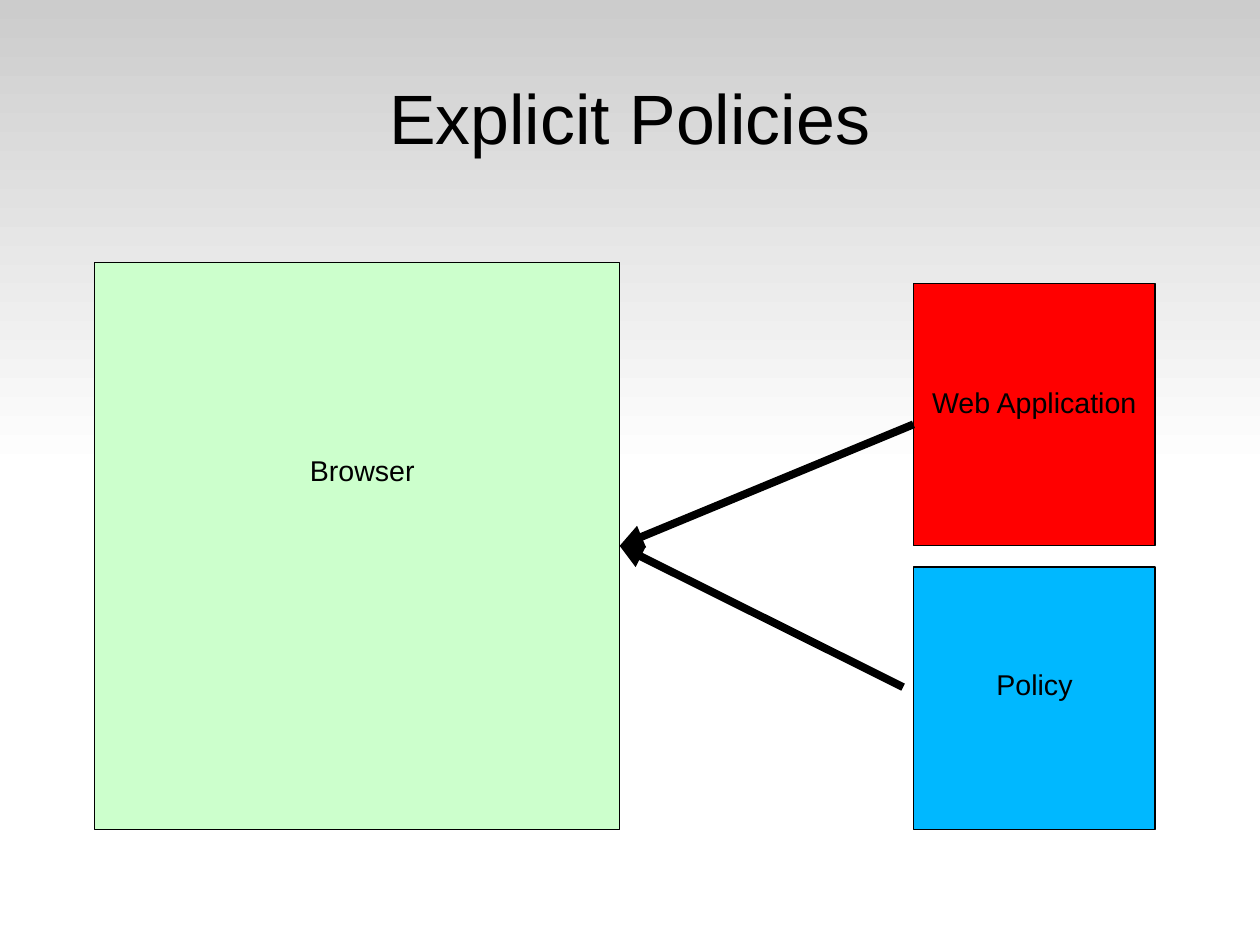
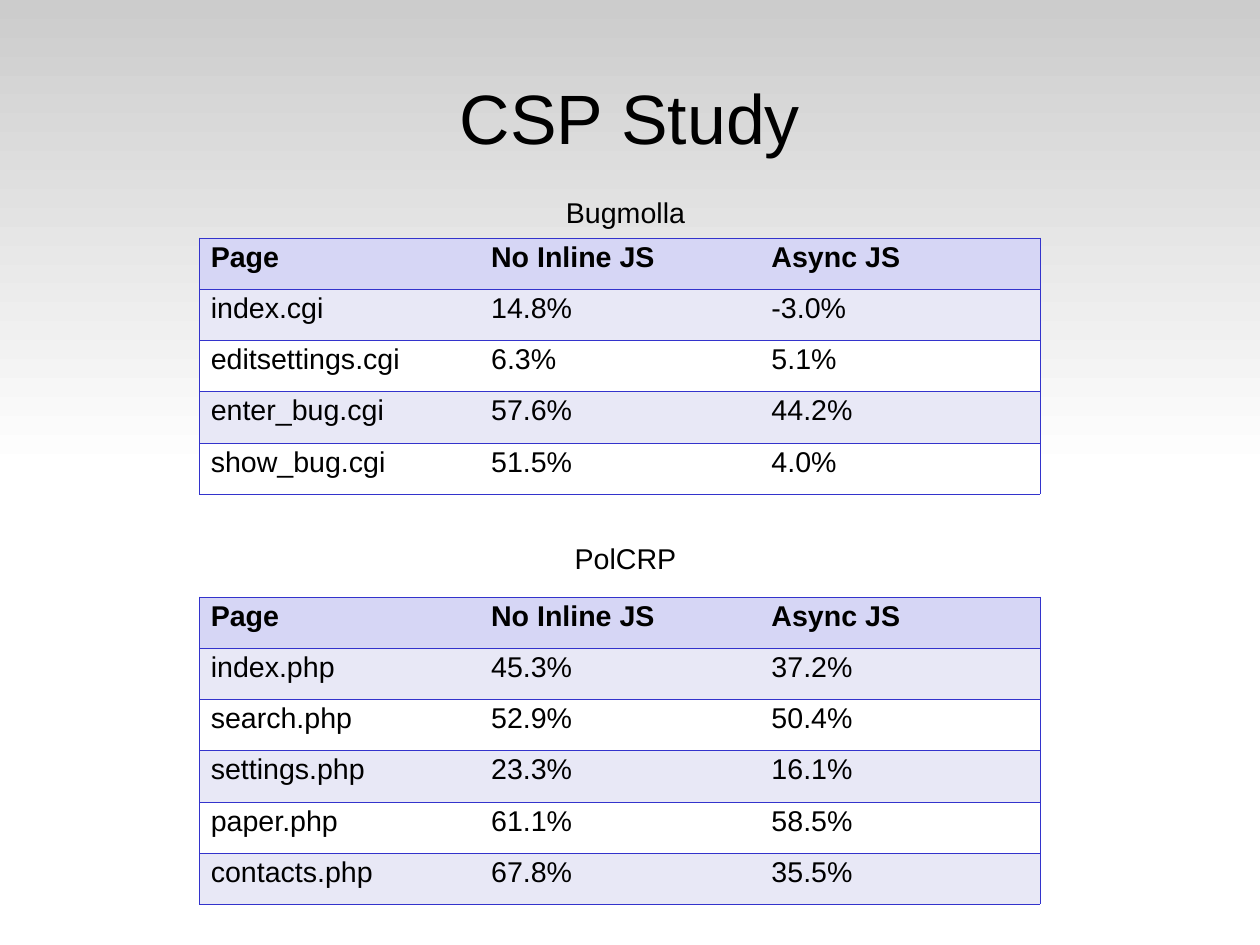
from lxml.etree import SubElement as Sub
from pptx import Presentation
from pptx.dml.color import RGBColor
from pptx.enum.shapes import MSO_CONNECTOR as Link, MSO_SHAPE as Kind
from pptx.enum.text import MSO_ANCHOR as Anchor, MSO_AUTO_SIZE as Fit, PP_ALIGN as Align
from pptx.oxml.ns import qn
from pptx.util import Cm, Pt

WIDE, HIGH = 28, 21


def tint(code):
    return RGBColor.from_string(code)


class Deck:
    font, ink, rule = "Arial", "000000", "3333CC"
    head, odd, even = "D6D6F5", "E8E8F6", "FFFFFF"

    def __init__(self):
        self.file = Presentation()
        self.file.slide_width, self.file.slide_height = Cm(WIDE), Cm(HIGH)
        self.slide = None

    def style(self, frame, size=18, bold=False, align=Align.CENTER):
        for para in frame.paragraphs:
            para.alignment = align
            for run in para.runs:
                run.font.name, run.font.size = self.font, Pt(size)
                run.font.bold = bold
                run.font.color.rgb = tint(self.ink)

    def page(self, text):
        self.slide = self.file.slides.add_slide(self.file.slide_layouts[5])
        title = self.slide.shapes.title
        title.left, title.top = Cm(1.4), Cm(0.38)
        title.width, title.height = Cm(25.2), Cm(4.4)
        frame = title.text_frame
        frame.text = text
        frame.auto_size, frame.vertical_anchor = Fit.NONE, Anchor.MIDDLE
        self.style(frame, 44)

    def shape(self, x, y, w, h):
        box = self.slide.shapes.add_shape(Kind.RECTANGLE, Cm(x), Cm(y), Cm(w), Cm(h))
        box.shadow.inherit = False
        return box

    def band(self):
        """Draw the grey fade and move it to the master, behind every slide."""
        band = self.shape(0, 0, WIDE, HIGH / 2)
        band.line.fill.background()
        band.fill.gradient()
        band.fill.gradient_angle = 270
        for stop, code, at in zip(band.fill.gradient_stops, ("CCCCCC", "FFFFFF"), (0, 1)):
            stop.color.rgb, stop.position = tint(code), at
        self.file.slide_master.shapes._spTree.insert(2, band._element)

    def box(self, x, y, w, h, code):
        box = self.shape(x, y, w, h)
        box.fill.solid()
        box.fill.fore_color.rgb = tint(code)
        box.line.color.rgb, box.line.width = tint(self.ink), Pt(0.75)

    def label(self, text, x, y, w):
        frame = self.slide.shapes.add_textbox(Cm(x), Cm(y), Cm(w), Cm(1.02)).text_frame
        frame.word_wrap = True
        frame.text = text
        self.style(frame)

    def arrow(self, start, end):
        line = self.slide.shapes.add_connector(Link.STRAIGHT, *map(Cm, start + end))
        line.line.color.rgb, line.line.width = tint(self.ink), Pt(5)
        Sub(line.line._get_or_add_ln(), qn("a:tailEnd"), type="triangle")
        Sub(line._element.spPr, qn("a:effectLst"))

    def edge(self, cell, side, shown):
        line = Sub(cell._tc.get_or_add_tcPr(), qn("a:ln" + side), w=str(Pt(0.11)))
        if shown:
            Sub(Sub(line, qn("a:solidFill")), qn("a:srgbClr"), val=self.rule)
        else:
            Sub(line, qn("a:noFill"))

    def table(self, x, y, wide, high, rows):
        count = len(rows[0])
        grid = self.slide.shapes.add_table(
            len(rows), count, Cm(x), Cm(y), Cm(wide * count), Cm(high * len(rows))).table
        grid.first_row = grid.horz_banding = False
        for col in grid.columns:
            col.width = Cm(wide)
        for r, row in enumerate(rows):
            grid.rows[r].height = Cm(high)
            code = self.head if r == 0 else self.odd if r % 2 else self.even
            for c, text in enumerate(row):
                cell = grid.cell(r, c)
                cell.text_frame.text = text
                self.style(cell.text_frame, bold=r == 0, align=Align.LEFT)
                cell.text_frame.paragraphs[0].line_spacing = 0.93
                # Rules between rows and around the table, none between columns
                for side, shown in zip("LRTB", (c == 0, c == count - 1, True, True)):
                    self.edge(cell, side, shown)
                cell.fill.solid()
                cell.fill.fore_color.rgb = tint(code)


def main():
    deck = Deck()

    # Policies: two sources feed the browser
    deck.page("Explicit Policies")
    deck.band()
    left, wide, high = 20.3, 5.37, 5.83
    hub = (13.77, 12.13)
    deck.box(2.1, 5.83, 11.67, 12.6, "CCFFCC")
    deck.box(left, 6.3, wide, high, "FF0000")
    deck.box(left, 12.6, wide, high, "00B8FF")
    deck.label("Browser", 3.5, 9.93, 9.1)
    deck.label("Web Application", left, 8.43, wide)
    deck.label("Policy", 20.07, 14.7, 5.84)
    deck.arrow((left, 9.43), hub)
    deck.arrow((20.07, 15.27), hub)

    # Study: one table for each system
    deck.page("CSP Study")
    top = ("Page", "No Inline JS", "Async JS")
    bugs = [
        ("index.cgi", "14.8%", "-3.0%"),
        ("editsettings.cgi", "6.3%", "5.1%"),
        ("enter_bug.cgi", "57.6%", "44.2%"),
        ("show_bug.cgi", "51.5%", "4.0%"),
    ]
    papers = [
        ("index.php", "45.3%", "37.2%"),
        ("search.php", "52.9%", "50.4%"),
        ("settings.php", "23.3%", "16.1%"),
        ("paper.php", "61.1%", "58.5%"),
        ("contacts.php", "67.8%", "35.5%"),
    ]
    for name, y, start, rows in (("Bugmolla", 4.2, 5.28, bugs), ("PolCRP", 11.9, 13.26, papers)):
        deck.label(name, 10.75, y, 6.3)
        deck.table(4.43, start, 6.23, 1.14, [top] + rows)

    deck.file.save("out.pptx")


if __name__ == "__main__":
    main()
